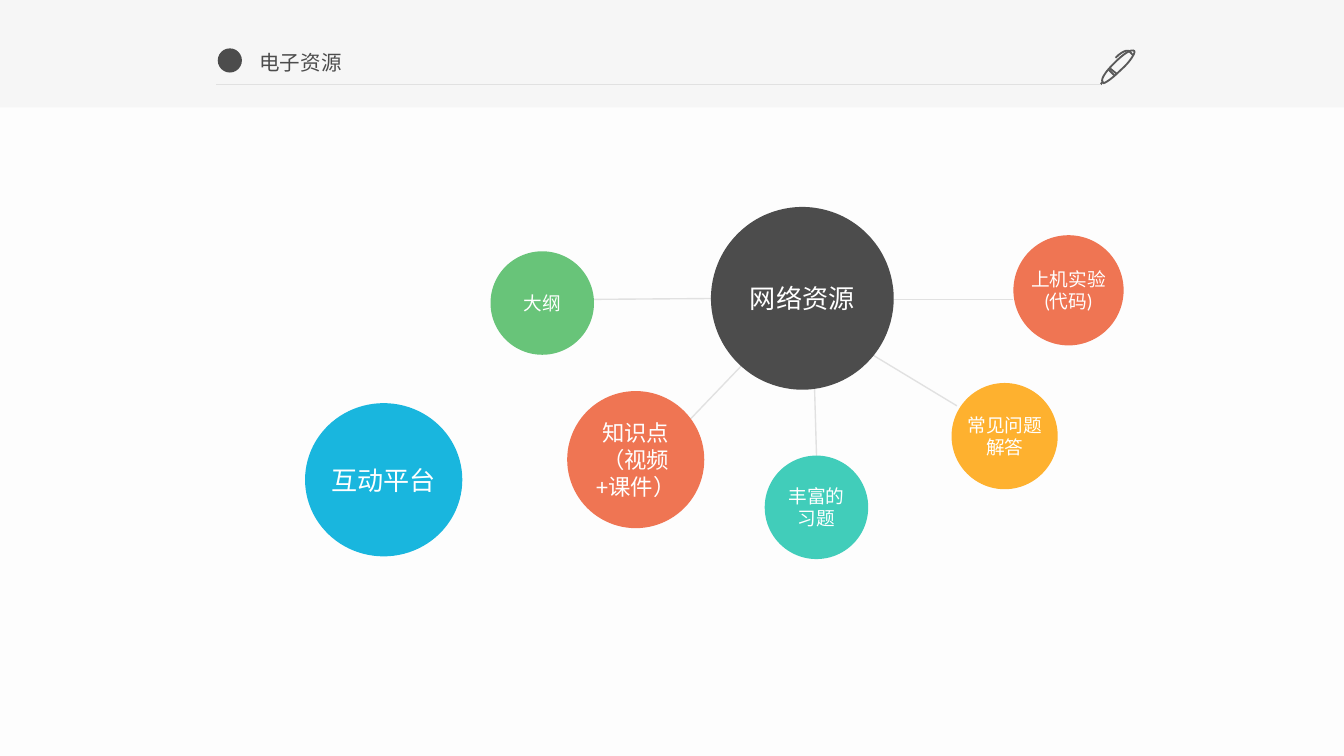
"""Build the slide on electronic resources as a bubble diagram."""
import pptx
import pptx.util
import pptx.dml.color
import pptx.enum.shapes
import pptx.enum.text
import pptx.oxml

Inches, Pt = pptx.util.Inches, pptx.util.Pt
KIND = pptx.enum.shapes.MSO_SHAPE
ALIGN, ANCHOR = pptx.enum.text.PP_ALIGN, pptx.enum.text.MSO_ANCHOR

COLORS = {
    "back": "FDFDFD", "band": "F6F6F6", "rule": "E1E1E1", "dark": "4C4C4C",
    "pen": "595959", "white": "FFFFFF", "green": "68C479", "coral": "EF7553",
    "amber": "FEB12F", "teal": "41CDBA", "blue": "19B6DE",
}
TITLE = "电子资源"
BUBBLES = [
    (["网络资源"], 14, "dark", 5.29, 1.54, 1.36, 1.36),
    (["大纲"], 10, "green", 3.65, 1.87, 0.77, 0.77),
    (["上机实验(代码)"], 10, "coral", 7.54, 1.75, 0.82, 0.82),
    (["常见问题解答"], 10, "amber", 7.08, 2.85, 0.79, 0.79),
    (["知识点", "（视频+课件）"], 12, "coral", 4.22, 2.91, 1.02, 1.02),
    (["丰富的习题"], 10, "teal", 5.69, 3.39, 0.77, 0.77),
    (["互动平台"], 14, "blue", 2.27, 3, 1.17, 1.14),
]
LINKS = [
    (6.5, 2.23, 7.54, 2.23), (5.49, 2.22, 4.09, 2.23), (7.12, 3.02, 6.26, 2.5),
    (6.08, 3.55, 6.05, 2.52), (5.71, 2.52, 5.04, 3.22),
]
RULE = (1.61, 0.63, 8.19, 0.63)
PEN = [
    ((8.29, 0.56), [(8.25, 0.52)], False),
    ((8.26, 0.51), [(8.31, 0.55)], False),
    ((8.44, 0.38), [
        (8.42, 0.36, 8.36, 0.4, 8.29, 0.47), (8.24, 0.52, 8.2, 0.57, 8.2, 0.6),
        (8.21, 0.62), (8.24, 0.61, 8.29, 0.57, 8.34, 0.52),
        (8.41, 0.46, 8.45, 0.39, 8.44, 0.38)], True),
    ((8.2, 0.61), [(8.19, 0.63)], False),
    ((8.43, 0.41), [
        (8.43, 0.41, 8.42, 0.4, 8.4, 0.38),
        (8.4, 0.38, 8.37, 0.36, 8.3, 0.43)], False),
]

deck = pptx.Presentation()
deck.slide_width = Inches(10)
deck.slide_height = Inches(10) * 9 // 16
slide = deck.slides.add_slide(deck.slide_layouts[6])
shapes = slide.shapes


def paint(fill, color):
    fill.solid()
    fill.fore_color.rgb = pptx.dml.color.RGBColor.from_string(COLORS[color])


def stroke(line, color, width):
    paint(line.fill, color)
    line.width = Pt(width)


def add_form(kind, color, *box):
    shape = shapes.add_shape(kind, *map(Inches, box))
    shape.shadow.inherit = False
    paint(shape.fill, color)
    shape.line.fill.background()
    return shape


def write(frame, lines, size, face, color, align, side):
    frame.margin_left = frame.margin_right = Inches(side)
    frame.margin_top = frame.margin_bottom = Inches(0.04)
    frame.text = "\n".join(lines)
    for para in frame.paragraphs:
        para.alignment = align
        para.font.size, para.font.name = Pt(size), face
        paint(para.font.fill, color)


def add_line(*ends):
    line = shapes.add_connector(
        pptx.enum.shapes.MSO_CONNECTOR.STRAIGHT, *map(Inches, ends))
    stroke(line.line, "rule", 0.75)
    props = line._element.spPr
    props.append(props.makeelement(pptx.oxml.ns.qn("a:effectLst"), {}))


def trace(start, steps, count=8):
    points, here = [], start
    for step in steps:
        end = step[-2:]
        if len(step) == 2:
            points.append(end)
        else:
            knots = (here, step[:2], step[2:4], end)
            for i in range(1, count + 1):
                t = i / count
                parts = ((1 - t)**3, 3 * t * (1 - t)**2, 3 * t**2 * (1 - t), t**3)
                points.append(tuple(
                    sum(w * k[axis] for w, k in zip(parts, knots))
                    for axis in (0, 1)))
        here = end
    return [tuple(map(Inches, point)) for point in points]


def add_pen():
    pen = None
    for start, steps, close in PEN:
        spot = tuple(map(Inches, start))
        if pen is None:
            pen = shapes.build_freeform(*spot)
        else:
            pen.move_to(*spot)
        pen.add_line_segments(trace(start, steps), close=close)
    shape = pen.convert_to_shape()
    shape.shadow.inherit = False
    shape.fill.background()
    stroke(shape.line, "pen", 1)


paint(slide.background.fill, "back")
add_form(KIND.RECTANGLE, "band", 0, 0, 10, 0.8)
for link in LINKS:
    add_line(*link)
for lines, size, color, *box in BUBBLES:
    frame = add_form(KIND.OVAL, color, *box).text_frame
    frame.word_wrap = True
    frame.vertical_anchor = ANCHOR.MIDDLE
    write(frame, lines, size, "Lato", "white", ALIGN.CENTER, 0)

title = shapes.add_textbox(*map(Inches, (1.86, 0.33, 0.77, 0.26))).text_frame
title.word_wrap = False
title.auto_size = pptx.enum.text.MSO_AUTO_SIZE.SHAPE_TO_FIT_TEXT
write(title, [TITLE], 11, "Noto Sans CJK SC", "dark", ALIGN.LEFT, 0.07)
add_pen()
add_form(KIND.OVAL, "dark", 1.62, 0.36, 0.18, 0.18)
add_line(*RULE)

deck.save("out.pptx")
